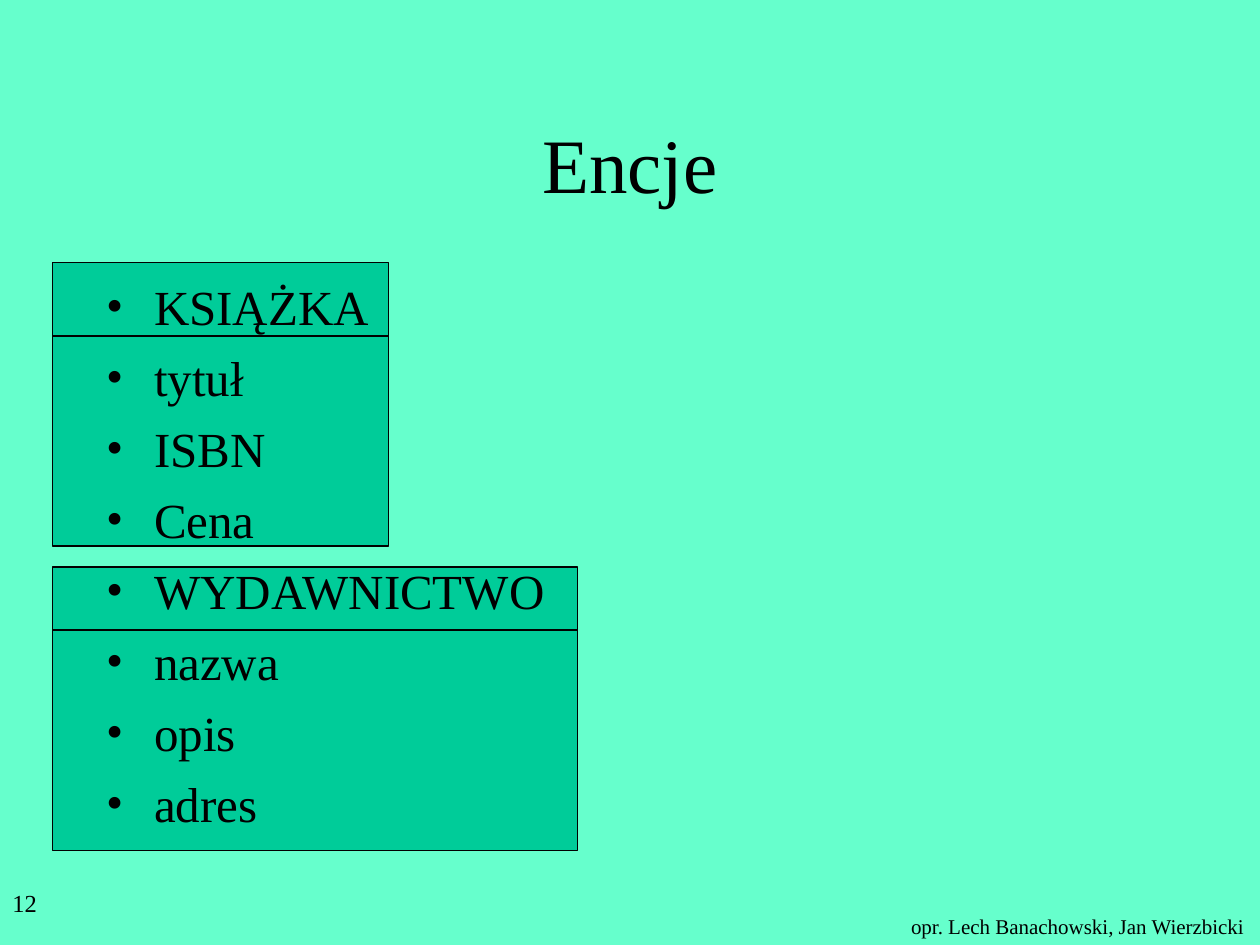
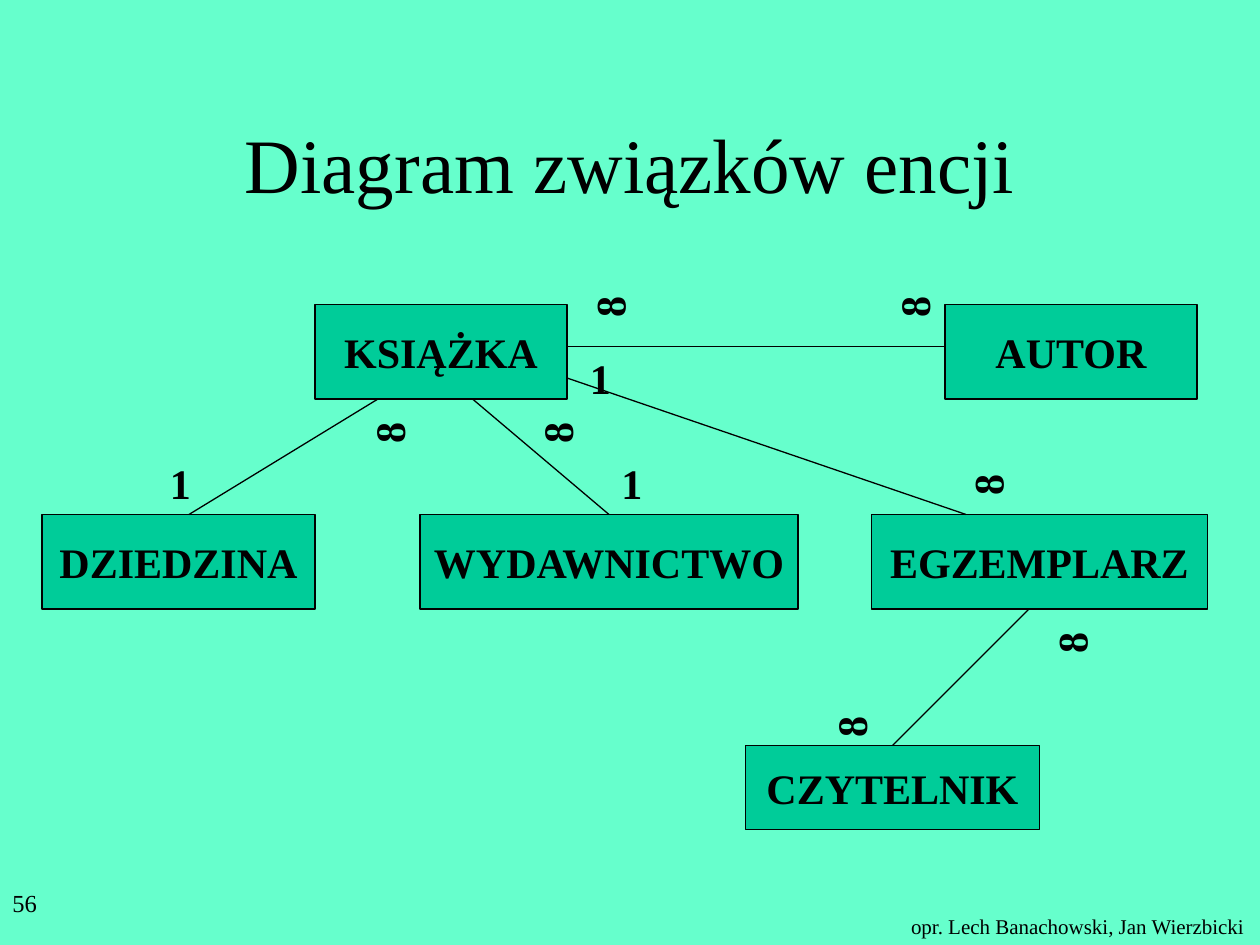
from dataclasses import dataclass
from typing import Optional

from lxml.etree import SubElement
from pptx import Presentation
from pptx.dml.color import RGBColor
from pptx.enum.shapes import MSO_CONNECTOR, MSO_SHAPE
from pptx.enum.text import MSO_ANCHOR, PP_ALIGN
from pptx.oxml.ns import qn
from pptx.util import Pt

COLORS = {"background": "66FFCC", "entity": "00CC99", "ink": "000000"}
FONT = "Times New Roman"
FOOTER = "opr. Lech Banachowski, Jan Wierzbicki"
TOP_SIDE = 0
MARK_W, MARK_H = 26, 36


@dataclass(frozen=True)
class Entity:
    name: str
    x: float
    y: float
    w: float
    h: float = 54


@dataclass(frozen=True)
class EntityCard:
    y: float
    w: float
    header_h: float
    x: float = 30
    h: float = 162


@dataclass(frozen=True)
class Relation:
    start: tuple[float, float]
    end: tuple[float, float]
    top_of: Optional[str] = None  # entity whose top middle the end joins


@dataclass(frozen=True)
class Mark:
    cx: float
    cy: float
    text: str = "8"
    rotation: float = 270  # an 8 on its side reads as infinity


# Content of the entity slide
CARDS = [EntityCard(150, 192, 42), EntityCard(324, 300, 36)]
ATTRIBUTES = ["KSIĄŻKA", "tytuł", "ISBN", "Cena",
              "WYDAWNICTWO", "nazwa", "opis", "adres"]

# Content of the relationship diagram
ENTITIES = [
    Entity("AUTOR", 540, 174, 144),
    Entity("WYDAWNICTWO", 240, 294, 216),
    Entity("EGZEMPLARZ", 498, 294, 192),
    Entity("KSIĄŻKA", 180, 174, 144),
    Entity("DZIEDZINA", 24, 294, 156),
    Entity("CZYTELNIK", 426, 426, 168, 48),
]
RELATIONS = [
    Relation((324, 198), (540, 198)),
    Relation((216, 228), (108, 294)),
    Relation((270, 228), (348, 294), "WYDAWNICTWO"),
    Relation((324, 216), (552, 294)),
    Relation((588, 348), (510, 426), "CZYTELNIK"),
]
MARKS = [
    Mark(486, 415.5), Mark(348, 175.5), Mark(522, 175.5), Mark(222, 247.5),
    Mark(318, 247.5), Mark(564, 277), Mark(612, 367.5),
    Mark(343, 216, "1", 0), Mark(103, 276, "1", 0), Mark(361, 276, "1", 0),
]


def rgb(name: str) -> RGBColor:
    return RGBColor.from_string(COLORS[name])


def add_bullet(p, indent: float) -> None:
    pPr = p._p.get_or_add_pPr()
    pPr.set("marL", str(Pt(indent)))
    pPr.set("indent", str(-Pt(indent)))
    SubElement(pPr, qn("a:buFont")).set("typeface", FONT)
    SubElement(pPr, qn("a:buChar")).set("char", "•")


def write(sp, *lines: str, size: float, bold: bool = False, align=PP_ALIGN.LEFT,
          anchor=MSO_ANCHOR.TOP, wrap: bool = True, bullet_indent: float = 0,
          gap: float = 0, line_height: Optional[float] = None) -> None:
    """Fill a shape with one formatted paragraph per line."""
    tf = sp.text_frame
    tf.word_wrap = wrap
    tf.vertical_anchor = anchor
    for i, line in enumerate(lines):
        p = tf.add_paragraph() if i else tf.paragraphs[0]
        p.alignment = align
        p.space_before = Pt(gap if i else 0)
        if line_height:
            p.line_spacing = Pt(line_height)
        if bullet_indent:
            add_bullet(p, bullet_indent)
        r = p.add_run()
        r.text = line
        r.font.name, r.font.size, r.font.bold = FONT, Pt(size), bold
        r.font.color.rgb = rgb("ink")


def add_text(slide, x: float, y: float, w: float, h: float, *lines: str, **fmt):
    sp = slide.shapes.add_textbox(Pt(x), Pt(y), Pt(w), Pt(h))
    write(sp, *lines, **fmt)
    return sp


def add_box(slide, x: float, y: float, w: float, h: float):
    sp = slide.shapes.add_shape(MSO_SHAPE.RECTANGLE, Pt(x), Pt(y), Pt(w), Pt(h))
    sp.shadow.inherit = False
    sp.fill.solid()
    sp.fill.fore_color.rgb = rgb("entity")
    sp.line.color.rgb = rgb("ink")
    sp.line.width = Pt(0.75)
    return sp


def add_line(slide, start: tuple[float, float], end: tuple[float, float]):
    cxn = slide.shapes.add_connector(
        MSO_CONNECTOR.STRAIGHT, *(Pt(v) for v in (*start, *end)))
    cxn.line.color.rgb = rgb("ink")
    cxn.line.width = Pt(0.75)
    SubElement(cxn._element.spPr, qn("a:effectLst"))
    return cxn


def add_slide(prs, title: str, number: int):
    """Title, page number and footer common to all slides."""
    slide = prs.slides.add_slide(prs.slide_layouts[5])
    sp = slide.shapes.title
    sp.left, sp.top, sp.width, sp.height = Pt(54), Pt(48), Pt(612), Pt(90)
    write(sp, title, size=44, align=PP_ALIGN.CENTER, anchor=MSO_ANCHOR.MIDDLE)
    add_text(slide, 0, 504, 150, 36, str(number), size=14)
    add_text(slide, 513.5, 518.4, 206, 21.6, FOOTER, size=12, wrap=False)
    return slide


def build_entities(prs) -> None:
    slide = add_slide(prs, "Encje", 12)
    for card in CARDS:
        add_box(slide, card.x, card.y, card.w, card.h)
        divider_y = card.y + card.header_h
        add_line(slide, (card.x, divider_y), (card.x + card.w, divider_y))
    add_text(slide, 54, 156, 612, 324, *ATTRIBUTES,
             size=28, bullet_indent=27, gap=8.4, line_height=32.2)


def build_diagram(prs) -> None:
    slide = add_slide(prs, "Diagram związków encji", 56)
    boxes = {}
    for e in ENTITIES:
        boxes[e.name] = add_box(slide, e.x, e.y, e.w, e.h)
        write(boxes[e.name], e.name, size=24, bold=True, align=PP_ALIGN.CENTER,
              anchor=MSO_ANCHOR.MIDDLE, wrap=False)
    for relation in RELATIONS:
        cxn = add_line(slide, relation.start, relation.end)
        if relation.top_of:
            cxn.end_connect(boxes[relation.top_of], TOP_SIDE)
    for m in MARKS:
        sp = add_text(slide, m.cx - MARK_W / 2, m.cy - MARK_H / 2, MARK_W, MARK_H,
                      m.text, size=24, bold=True, wrap=False)
        sp.rotation = m.rotation


def main() -> None:
    prs = Presentation()
    prs.slide_width, prs.slide_height = Pt(720), Pt(540)
    fill = prs.slide_master.background.fill
    fill.solid()
    fill.fore_color.rgb = rgb("background")
    build_entities(prs)
    build_diagram(prs)
    prs.save("out.pptx")


if __name__ == "__main__":
    main()
